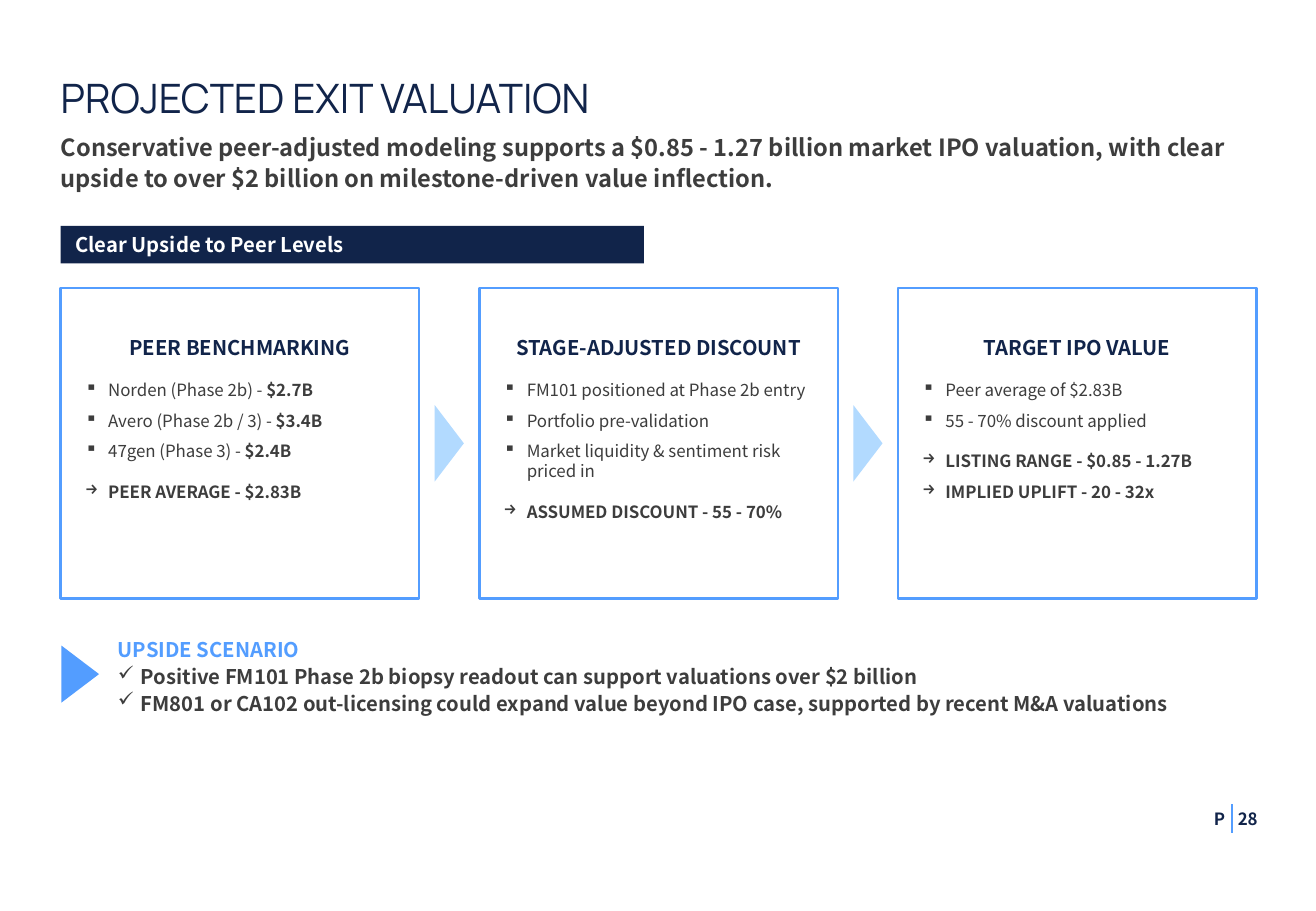
from lxml import etree
from pptx import Presentation
from pptx.dml.color import RGBColor
from pptx.enum.shapes import MSO_CONNECTOR, MSO_SHAPE
from pptx.enum.text import MSO_ANCHOR, PP_ALIGN
from pptx.oxml.ns import qn
from pptx.util import Inches, Pt

RECT, TRIANGLE = MSO_SHAPE.RECTANGLE, MSO_SHAPE.ISOSCELES_TRIANGLE
STRAIGHT = MSO_CONNECTOR.STRAIGHT
TOP, MIDDLE = MSO_ANCHOR.TOP, MSO_ANCHOR.MIDDLE
LEFT, CENTER, RIGHT = PP_ALIGN.LEFT, PP_ALIGN.CENTER, PP_ALIGN.RIGHT

# Content
TITLE = "PROJECTED EXIT VALUATION"
SUBTITLE = ("Conservative peer-adjusted modeling supports a $0.85 - 1.27 billion market IPO valuation, "
            "with clear upside to over $2 billion on milestone-driven value inflection.")
BANNER = "Clear Upside to Peer Levels"
# Each card: heading, points as (plain, bold) text, conclusions
CARDS = [
    ("PEER BENCHMARKING",
     [("Norden (Phase 2b) - ", "$2.7B"), ("Avero (Phase 2b / 3) - ", "$3.4B"),
      ("47gen (Phase 3) - ", "$2.4B")],
     ["PEER AVERAGE - $2.83B"]),
    ("STAGE-ADJUSTED DISCOUNT",
     [("FM101 positioned at Phase 2b entry", ""), ("Portfolio pre-validation", ""),
      ("Market liquidity & sentiment risk priced in", "")],
     ["ASSUMED DISCOUNT - 55 - 70%"]),
    ("TARGET IPO VALUE",
     [("Peer average of $2.83B", ""), ("55 - 70% discount applied", "")],
     ["LISTING RANGE - $0.85 - 1.27B", "IMPLIED UPLIFT - 20 - 32x"]),
]
UPSIDE_HEADING = "UPSIDE SCENARIO"
UPSIDE_POINTS = [
    "Positive FM101 Phase 2b biopsy readout can support valuations over $2 billion",
    "FM801 or CA102 out-licensing could expand value beyond IPO case, supported by recent M&A valuations",
]
PAGE_MARK, PAGE_NUMBER = "P", "28"

# Theme
BODY_FONT = "Noto Sans CJK KR"
THEME = {
    "navy": RGBColor.from_string("11244A"), "blue": RGBColor.from_string("539DFF"),
    "pale": RGBColor.from_string("B2DAFF"), "grey": RGBColor.from_string("3D3D3D"),
    "white": RGBColor.from_string("FFFFFF"),
    "title": Pt(24), "subtitle": Pt(14), "heading": Pt(12), "body": Pt(10),
}


def style(size, color, bold=True, name=BODY_FONT):
    return {"size": THEME[size], "color": THEME[color], "bold": bold, "name": name}


TITLE_STYLE = style("title", "navy", False, "Manrope")
SUBTITLE_STYLE = style("subtitle", "grey")
BANNER_STYLE = style("heading", "white")
CARD_HEADING = style("heading", "navy")
POINT = style("body", "grey", False)
POINT_BOLD = style("body", "grey")
UPSIDE_TITLE = style("heading", "blue")
UPSIDE_POINT = style("heading", "grey")
PAGE_STYLE = style("body", "navy")

# Layout, in inches
MARGIN, CONTENT_W = 0.5, 9.84
CARD_TOP, CARD_W, CARD_H = 2.37, 2.95, 2.56
CARD_STEP = (CONTENT_W - CARD_W) / (len(CARDS) - 1)
HANG = 0.19

prs = Presentation()
prs.slide_width, prs.slide_height = Inches(10.83), Inches(7.5)
slide = prs.slides.add_slide(prs.slide_layouts[6])


def para(runs, align=LEFT, bullet=None, **spacing):
    return {"runs": runs, "align": align, "bullet": bullet, "spacing": spacing}


def write(shape, paragraphs, insets=(0, 0, 0, 0), anchor=TOP, wrap=True):
    frame = shape.text_frame
    frame.word_wrap, frame.vertical_anchor = wrap, anchor
    for side, inset in zip(("left", "top", "right", "bottom"), insets):
        setattr(frame, f"margin_{side}", Inches(inset))
    for index, item in enumerate(paragraphs):
        paragraph = frame.add_paragraph() if index else frame.paragraphs[0]
        paragraph.alignment = item["align"]
        if item["bullet"]:
            props = paragraph._p.get_or_add_pPr()
            props.set("marL", str(Inches(HANG)))
            props.set("indent", str(-Inches(HANG)))
            etree.SubElement(props, qn("a:buChar")).set("char", item["bullet"])
        for key, value in item["spacing"].items():
            setattr(paragraph, key, value)
        for text, look in item["runs"]:
            run = paragraph.add_run()
            run.text = text
            for key, value in look.items():
                if key == "color":
                    run.font.color.rgb = value
                else:
                    setattr(run.font, key, value)


def add_text(box, paragraphs, **layout):
    write(slide.shapes.add_textbox(*map(Inches, box)), paragraphs, **layout)


def add_block(kind, box, fill, line=None):
    shape = slide.shapes.add_shape(kind, *map(Inches, box))
    shape.shadow.inherit = False
    shape.fill.solid()
    shape.fill.fore_color.rgb = THEME[fill]
    if line:
        shape.line.color.rgb, shape.line.width = THEME[line], Pt(1.5)
    else:
        shape.line.fill.background()
    return shape


def add_pointer(center_x, center_y, base, depth, fill):
    box = (center_x - base / 2, center_y - depth / 2, base, depth)
    add_block(TRIANGLE, box, fill).rotation = 90


# Title, subtitle and banner
add_text((MARGIN, 0.6, CONTENT_W, 0.47), [para([(TITLE, TITLE_STYLE)])])
add_text((MARGIN, 1.07, CONTENT_W, 0.5), [para([(SUBTITLE, SUBTITLE_STYLE)], line_spacing=1.1)])
banner = add_block(RECT, (MARGIN, 1.86, 4.8, 0.31), "navy")
write(banner, [para([(BANNER, BANNER_STYLE)])], insets=(0.12, 0, 0, 0), anchor=MIDDLE)

# Cards with pointers in the gaps between them
for column, (heading, points, conclusions) in enumerate(CARDS):
    left = MARGIN + column * CARD_STEP
    card = add_block(RECT, (left, CARD_TOP, CARD_W, CARD_H), "white", "blue")
    lines = [para([(heading, CARD_HEADING)], CENTER, space_after=Pt(6))]
    for plain, strong in points:
        runs = [(plain, POINT)] + ([(strong, POINT_BOLD)] if strong else [])
        lines.append(para(runs, bullet="▪", space_before=Pt(6)))
    for order, conclusion in enumerate(conclusions):
        lines.append(para([(conclusion, POINT_BOLD)], bullet="→",
                          space_before=Pt(6 if order else 12)))
    write(card, lines, insets=(0.2, 0.39, 0.2, 0))
    if column:
        add_pointer(left - (CARD_STEP - CARD_W) / 2, CARD_TOP + CARD_H / 2, 0.63, 0.24, "pale")

# Upside scenario
add_pointer(0.66, 5.55, 0.47, 0.31, "blue")
upside = [para([(UPSIDE_HEADING, UPSIDE_TITLE)], line_spacing=1.1)]
upside += [para([(point, UPSIDE_POINT)], bullet="✓", line_spacing=1.1) for point in UPSIDE_POINTS]
add_text((0.81, 5.23, 9.53, 0.65), upside, insets=(0.16, 0, 0, 0))

# Page number
add_text((9.99, 6.66, 0.17, 0.17), [para([(PAGE_MARK, PAGE_STYLE)])],
         insets=(0, 0, 0.08, 0), anchor=MIDDLE, wrap=False)
divider = slide.shapes.add_connector(STRAIGHT, *map(Inches, (10.14, 6.62, 10.14, 6.86)))
divider.line.color.rgb, divider.line.width = THEME["blue"], Pt(1)
etree.SubElement(divider._element.spPr, qn("a:effectLst"))
add_text((9.99, 6.66, 0.36, 0.17), [para([(PAGE_NUMBER, PAGE_STYLE)], RIGHT)],
         insets=(0.08, 0, 0, 0), anchor=MIDDLE)

prs.save("out.pptx")
